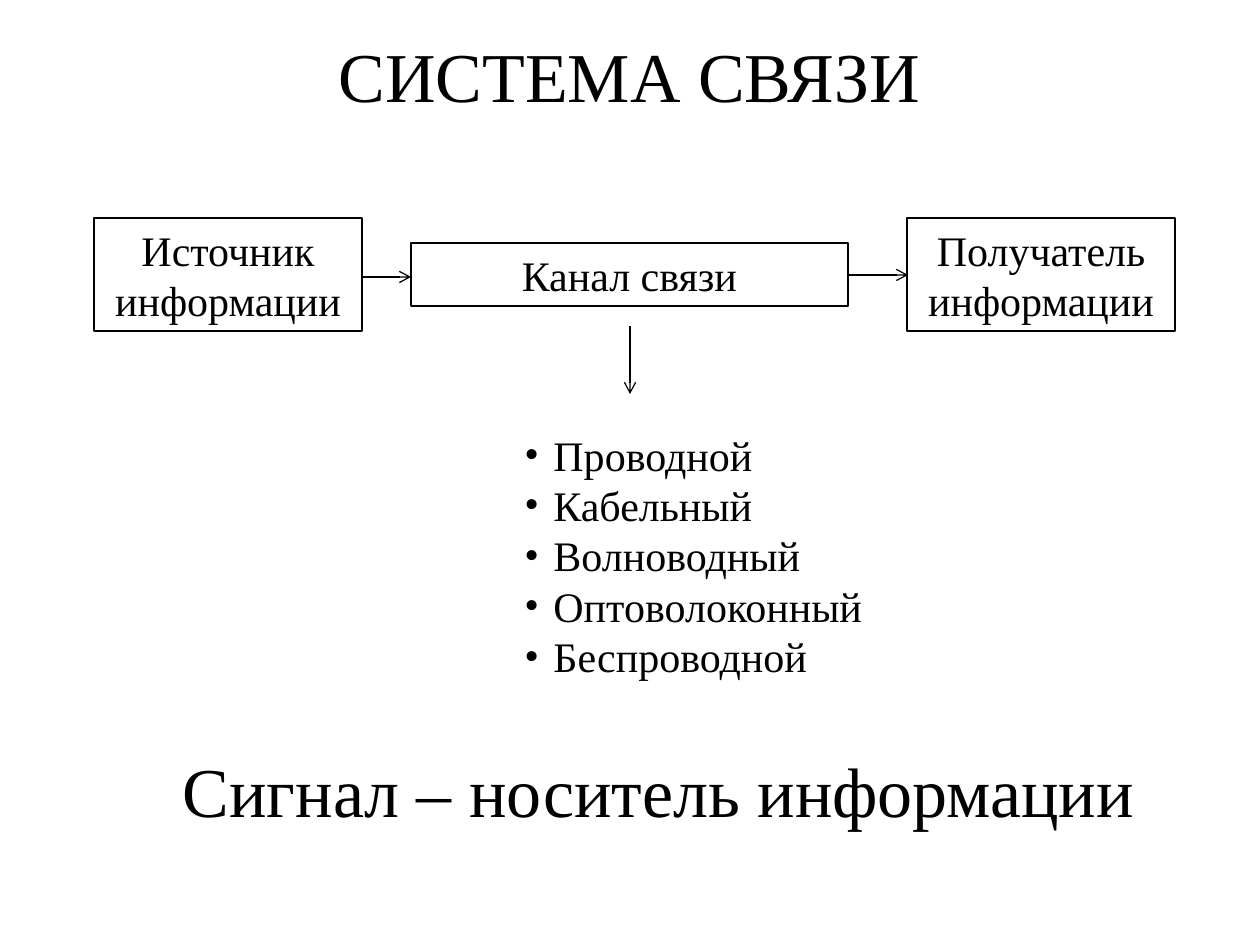
"""Build the slide that shows the parts of a communication system."""
from lxml.etree import SubElement
from pptx import Presentation
from pptx.dml.color import RGBColor
from pptx.enum.shapes import MSO_CONNECTOR, MSO_SHAPE
from pptx.enum.text import MSO_ANCHOR, MSO_AUTO_SIZE, PP_ALIGN
from pptx.oxml.ns import qn
from pptx.util import Emu, Pt

BLACK = RGBColor(0, 0, 0)
FONT = "Times New Roman"
BODY_SIZE, HEADING_SIZE = 24, 40
LINE_WIDTH = Pt(0.75)
PAGE_SIZE = (1260, 945)
BULLET_INDENT = 29

TITLE = ("СИСТЕМА СВЯЗИ", (94, 26, 1071, 97))
SUMMARY = ("Сигнал – носитель информации", (123, 741, 1071, 97))
BLOCKS = [
    ("Источник\vинформации", (94, 218, 268, 113)),
    ("Получатель\vинформации", (907, 218, 268, 113)),
    ("Канал связи", (411, 243, 437, 63)),
]
CHANNEL_TYPES = ["Проводной", "Кабельный", "Волноводный", "Оптоволоконный", "Беспроводной"]
CHANNEL_LIST_PLACE = (512, 423, 486, 265)
ARROWS = [
    (362, 277, 411, 277),
    (848, 275, 908, 275),
    (630, 326, 630, 394),
]


def px(length):
    return Emu(round(length * 914400 / 126))


def place(shape, bounds):
    for name, value in zip(("left", "top", "width", "height"), bounds):
        setattr(shape, name, px(value))


def write(shape, lines, size, align, anchor=MSO_ANCHOR.TOP, bullets=False):
    frame = shape.text_frame
    settings = {
        "word_wrap": True, "auto_size": MSO_AUTO_SIZE.NONE, "vertical_anchor": anchor,
        "margin_left": px(12.6), "margin_right": px(12.6),
        "margin_top": px(6.3), "margin_bottom": px(6.3),
    }
    for name, value in settings.items():
        setattr(frame, name, value)
    frame.text = "\n".join(lines)
    for para in frame.paragraphs:
        para.alignment = align
        if bullets:
            add_bullet(para)
        for span in para.runs:
            for name, value in {"name": FONT, "size": Pt(size)}.items():
                setattr(span.font, name, value)
            span.font.color.rgb = BLACK


def add_bullet(para):
    properties = para._p.get_or_add_pPr()
    properties.set("marL", str(px(BULLET_INDENT)))
    properties.set("indent", str(-px(BULLET_INDENT)))
    SubElement(properties, qn("a:buFont"), typeface=FONT)
    SubElement(properties, qn("a:buChar"), char="•")


def add_text(page, lines, bounds, size, align, bullets=False):
    box = page.shapes.add_textbox(*map(px, bounds))
    write(box, lines, size, align, bullets=bullets)


def add_block(page, label, bounds):
    block = page.shapes.add_shape(MSO_SHAPE.RECTANGLE, *map(px, bounds))
    block.shadow.inherit = False
    block.fill.background()
    block.line.color.rgb = BLACK
    block.line.width = LINE_WIDTH
    write(block, [label], BODY_SIZE, PP_ALIGN.CENTER)


def add_arrow(page, ends):
    arrow = page.shapes.add_connector(MSO_CONNECTOR.STRAIGHT, *map(px, ends))
    arrow.line.color.rgb = BLACK
    arrow.line.width = LINE_WIDTH
    SubElement(arrow.line._get_or_add_ln(), qn("a:tailEnd"), type="arrow")
    SubElement(arrow._element.spPr, qn("a:effectLst"))


def main():
    deck = Presentation()
    deck.slide_width, deck.slide_height = map(px, PAGE_SIZE)
    page = deck.slides.add_slide(deck.slide_layouts[5])
    heading, bounds = TITLE
    place(page.shapes.title, bounds)
    write(page.shapes.title, [heading], HEADING_SIZE, PP_ALIGN.CENTER)
    for label, bounds in BLOCKS:
        add_block(page, label, bounds)
    for ends in ARROWS:
        add_arrow(page, ends)
    add_text(page, CHANNEL_TYPES, CHANNEL_LIST_PLACE, BODY_SIZE, PP_ALIGN.LEFT, bullets=True)
    summary, bounds = SUMMARY
    add_text(page, [summary], bounds, HEADING_SIZE, PP_ALIGN.CENTER)
    deck.save("out.pptx")


if __name__ == "__main__":
    main()
